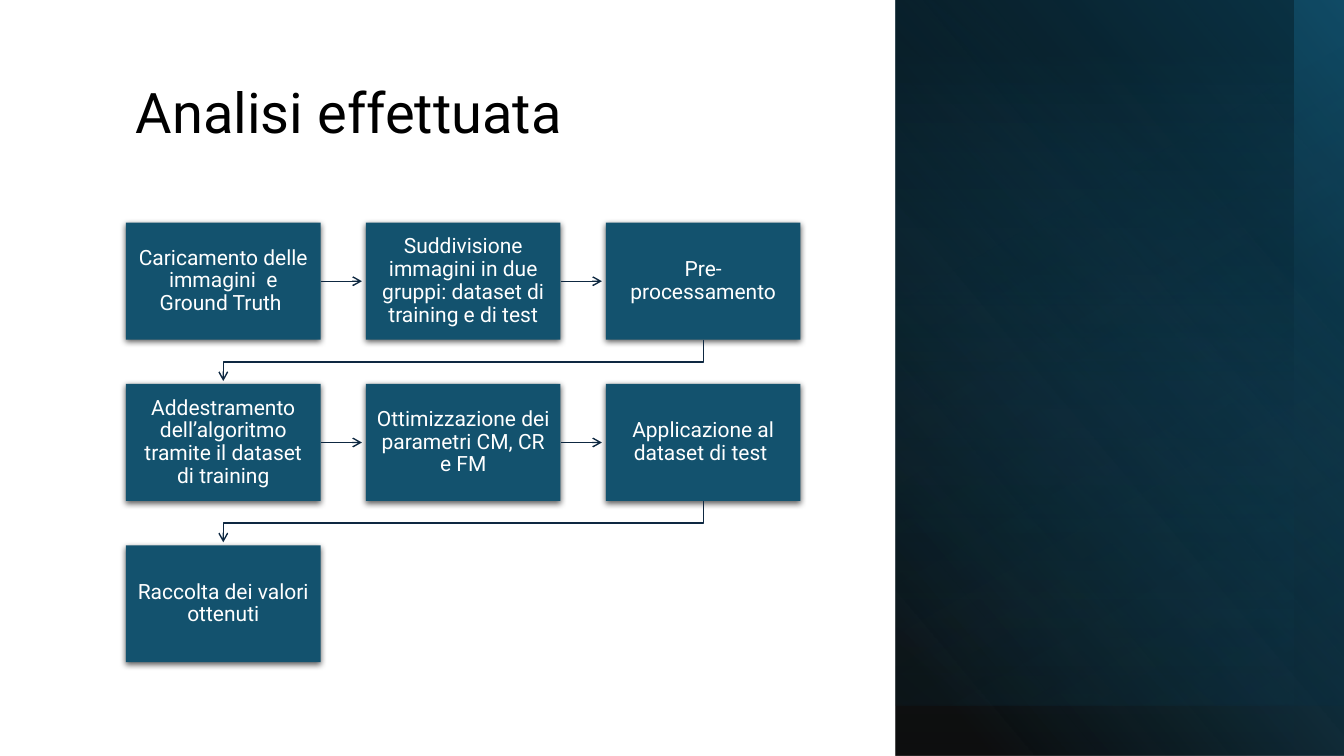
import pptx
import pptx.dml.color
import pptx.enum.shapes
import pptx.enum.text
import pptx.oxml.ns
import pptx.util
from lxml import etree

Inches = pptx.util.Inches
Pt = pptx.util.Pt
qn = pptx.oxml.ns.qn
RGB = pptx.dml.color.RGBColor.from_string
RECT = pptx.enum.shapes.MSO_SHAPE.RECTANGLE
ANCHOR = pptx.enum.text.MSO_ANCHOR
ALIGN = pptx.enum.text.PP_ALIGN

THEME = {
    "font": "Roboto", "title": 40, "step": 15,
    "black": "000000", "white": "FFFFFF", "box": "13526E",
    "line": "0E2841", "teal": "156082", "deep": "0B3041",
}


def write(frame, text, size, color):
    """Put one styled run in the first paragraph of a text frame."""
    frame.word_wrap = True
    para = frame.paragraphs[0]
    para.line_spacing = 0.9
    run = para.add_run()
    run.text = text
    run.font.name = THEME["font"]
    run.font.size = Pt(size)
    run.font.color.rgb = RGB(color)
    return para


def arrow(shape):
    """Style a line and give its end an open arrowhead."""
    shape.line.color.rgb = RGB(THEME["line"])
    shape.line.width = Pt(1)
    props = shape.element.spPr
    etree.SubElement(props.find(qn("a:ln")), qn("a:tailEnd"), type="arrow")
    if props.find(qn("a:effectLst")) is None:
        etree.SubElement(props, qn("a:effectLst"))


deck = pptx.Presentation()
deck.slide_width = Inches(13.33)
deck.slide_height = Inches(7.5)
slide = deck.slides.add_slide(deck.slide_layouts[6])
shapes = slide.shapes

# Title
title = shapes.add_textbox(Inches(1.25), Inches(0.4), Inches(5.82), Inches(1.09))
title.text_frame.vertical_anchor = ANCHOR.BOTTOM
write(title.text_frame, "Analisi effettuata", THEME["title"], THEME["black"])

# Side panel: layered gradients as width, height, clockwise angle,
# then stops of position, colour and opacity in percent
layers = [
    (4.45, 7.5, 40, [(8, "black", 94), (100, "teal", 100)]),
    (4.45, 7, 300, [(31, "deep", 0), (100, "deep", 26)]),
    (4.45, 7, 50, [(0, "teal", 0), (72, "black", 21)]),
    (3.95, 7.5, 90, [(0, "teal", 0), (93, "black", 29)]),
]
for width, height, angle, stops in layers:
    panel = shapes.add_shape(RECT, Inches(8.88), 0, Inches(width), Inches(height))
    panel.shadow.inherit = False
    panel.line.fill.background()
    panel.rotation = 180
    panel.element.spPr.find(qn("a:xfrm")).set("flipH", "1")
    panel.fill.gradient()
    panel.fill.gradient_angle = 360 - angle
    for stop, (place, color, alpha) in zip(panel.fill.gradient_stops, stops):
        stop.position = place / 100
        stop.color.rgb = RGB(THEME[color])
    tints = panel.element.spPr.iter(qn("a:srgbClr"))
    for tint, (place, color, alpha) in zip(list(tints), stops):
        etree.SubElement(tint, qn("a:alpha"), val=str(alpha * 1000))

# Flow of steps, three to a row
steps = [
    "Caricamento delle immagini  e Ground Truth ",
    "Suddivisione immagini in due gruppi: dataset di training e di test",
    "Pre-processamento",
    "Addestramento dell’algoritmo tramite il dataset di training",
    "Ottimizzazione dei parametri CM, CR e FM",
    "Applicazione al dataset di test ",
    "Raccolta dei valori ottenuti",
]
COLS = 3
LEFT, TOP = 1.25, 2.21
WIDE, HIGH = 1.93, 1.16
STEP_X, STEP_Y = 2.38, 1.6
REACH = 0.41

for index, text in enumerate(steps):
    row, col = divmod(index, COLS)
    x = LEFT + col * STEP_X
    y = TOP + row * STEP_Y

    box = shapes.add_shape(RECT, Inches(x), Inches(y), Inches(WIDE), Inches(HIGH))
    box.fill.solid()
    box.fill.fore_color.rgb = RGB(THEME["box"])
    box.line.fill.background()
    box.shadow.inherit = False
    shade = etree.SubElement(
        box.element.spPr.find(qn("a:effectLst")), qn("a:outerShdw"),
        blurRad=str(Pt(4.5)), dist=str(Pt(1.5)), dir="5400000",
        algn="ctr", rotWithShape="0")
    tint = etree.SubElement(shade, qn("a:srgbClr"), val=THEME["black"])
    etree.SubElement(tint, qn("a:alpha"), val="63000")

    frame = box.text_frame
    frame.margin_left = frame.margin_right = Inches(0.09)
    frame.margin_top = frame.margin_bottom = Inches(0.1)
    frame.vertical_anchor = ANCHOR.MIDDLE
    para = write(frame, text, THEME["step"], THEME["white"])
    para.alignment = ALIGN.CENTER

    if index == len(steps) - 1:
        continue
    if col < COLS - 1:
        mid = Inches(y + HIGH / 2)
        link = shapes.add_connector(
            pptx.enum.shapes.MSO_CONNECTOR.STRAIGHT,
            Inches(x + WIDE), mid, Inches(x + WIDE + REACH), mid)
    else:
        start, end = Inches(x + WIDE / 2), Inches(LEFT + WIDE / 2)
        base = y + HIGH
        bend = Inches(base + 0.22)
        pen = shapes.build_freeform(start, Inches(base))
        pen.add_line_segments(
            [(start, bend), (end, bend), (end, Inches(base + REACH))], close=False)
        link = pen.convert_to_shape()
        link.fill.background()
        link.shadow.inherit = False
    arrow(link)

deck.save("out.pptx")
